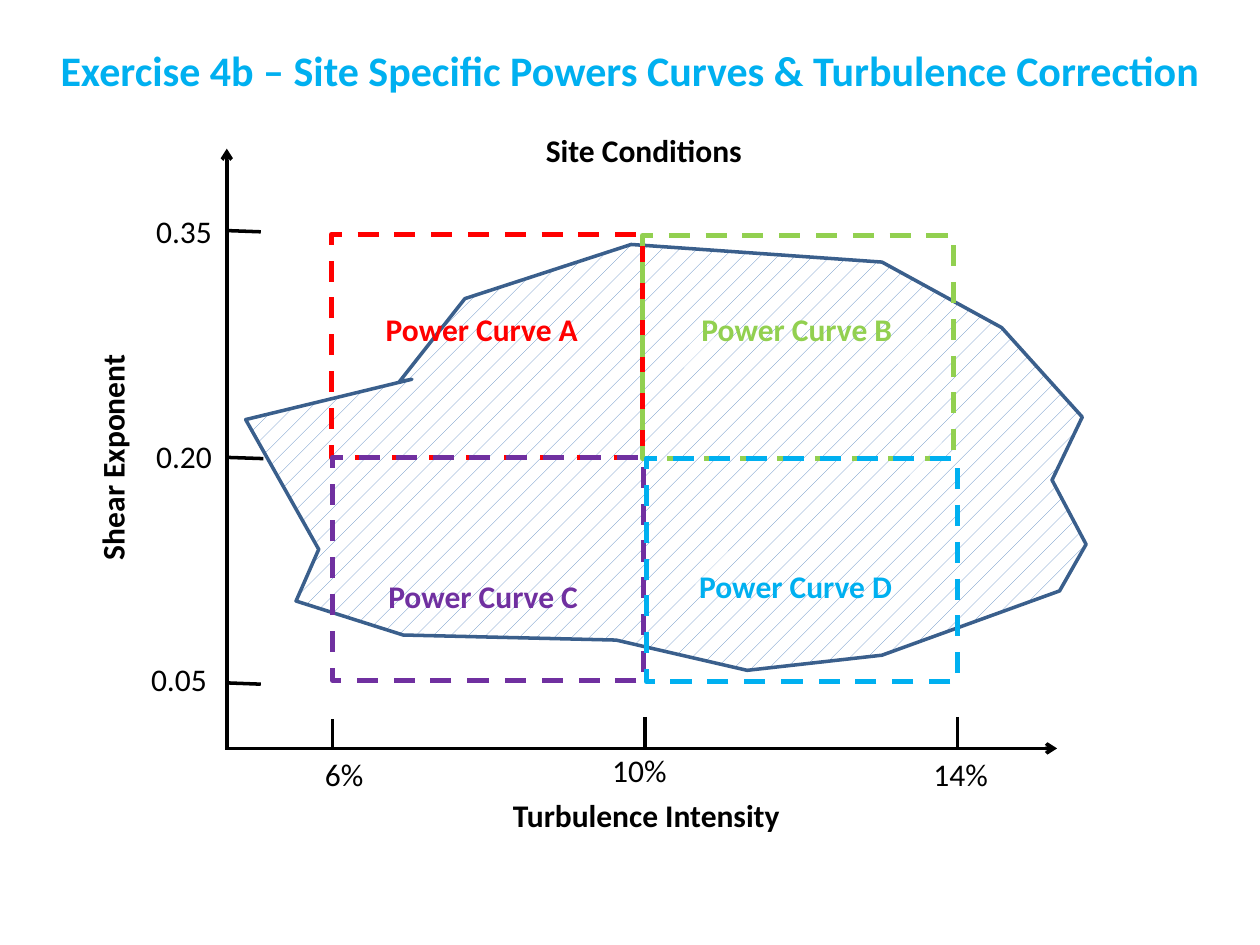
from lxml import etree
from pptx import Presentation
from pptx.dml.color import RGBColor
from pptx.enum.dml import MSO_LINE, MSO_PATTERN
from pptx.enum.shapes import MSO_CONNECTOR, MSO_SHAPE
from pptx.enum.text import MSO_ANCHOR, MSO_AUTO_SIZE, PP_ALIGN
from pptx.oxml.ns import qn
from pptx.util import Inches, Pt

DASH = MSO_LINE.DASH
DOTS = MSO_PATTERN.PERCENT_5
LINE = MSO_CONNECTOR.STRAIGHT
RECT = MSO_SHAPE.RECTANGLE
MID = MSO_ANCHOR.MIDDLE
GROW = MSO_AUTO_SIZE.SHAPE_TO_FIT_TEXT
FIXED = MSO_AUTO_SIZE.NONE
LEFT, CENTER = PP_ALIGN.LEFT, PP_ALIGN.CENTER

COLORS = {"black": "000000", "white": "FFFFFF", "red": "FF0000",
          "green": "92D050", "purple": "7030A0", "cyan": "00B0F0",
          "blue": "4F81BD", "navy": "3A5F8C"}

TITLE = "Exercise 4b – Site Specific Powers Curves & Turbulence Correction"
HEADS = [("Turbulence Intensity", 3.32, 6.27, 3.62, 0),
         ("Shear Exponent", -0.25, 3.43, 2.28, 270),
         ("Site Conditions", 3.77, 0.99, 2.68, 0)]
AXES = [(1.8, 5.95, 1.8, 1.18), (1.8, 5.94, 8.39, 5.94)]
CURVES = [("A", "red", 2.63, 1.86, 2.56, 2.41),
          ("B", "green", 5.1, 1.87, 5.06, 2.41),
          ("C", "purple", 2.64, 3.63, 2.57, 4.53),
          ("D", "cyan", 5.13, 3.64, 5.05, 4.45)]
TURBS = [("6%", 2.64, 5.71, 2.48, 5.94), ("10%", 5.12, 5.69, 4.76, 5.91),
         ("14%", 7.6, 5.69, 7.31, 5.94)]
SHEARS = [("0.35", 1.83, 2.07, 1.14, 1.63), ("0.20", 3.63, 2.09, 1.14, 3.42),
          ("0.05", 5.42, 2.07, 1.1, 5.19)]
SITE = [(3.17, 3.03), (3.69, 2.37), (5.01, 1.94), (7, 2.08), (7.95, 2.6),
        (8.59, 3.31), (8.35, 3.81), (8.62, 4.32), (8.41, 4.69), (7, 5.2),
        (5.93, 5.32), (4.89, 5.08), (3.2, 5.04), (2.35, 4.77),
        (2.53, 4.36), (1.95, 3.33), (3.27, 3.01)]


def rgb(name):
    return RGBColor.from_string(COLORS[name])


def apply(item, values):
    for key, value in values.items():
        setattr(item, key, value)


def write(shape, text, color="black", bold=True, size=18, align=CENTER):
    para = shape.text_frame.paragraphs[0]
    para.alignment = align
    run = para.add_run()
    run.text = text
    apply(run.font, {"name": "Calibri", "size": Pt(size), "bold": bold})
    run.font.color.rgb = rgb(color)


def label(text, x, y, w, turn=0, **style):
    box = slide.shapes.add_textbox(*map(Inches, (x, y, w, 0.4)))
    apply(box.text_frame, {"word_wrap": True, "auto_size": GROW})
    box.rotation = turn
    write(box, text, **style)


def stroke(shape, color, width):
    shape.line.color.rgb = rgb(color)
    shape.line.width = Pt(width)


def rule(ends, arrow=False):
    line = slide.shapes.add_connector(LINE, *map(Inches, ends))
    stroke(line, "black", 2)
    props = line._element.spPr
    etree.SubElement(props, qn("a:effectLst"))
    if arrow:
        etree.SubElement(props.find(qn("a:ln")), qn("a:tailEnd"), type="arrow")


deck = Presentation()
apply(deck, {"slide_width": Inches(10), "slide_height": Inches(7.5)})
slide = deck.slides.add_slide(deck.slide_layouts[5])

title = slide.shapes.title
apply(title, {"left": Inches(0), "top": Inches(0.29),
              "width": Inches(10), "height": Inches(0.53)})
apply(title.text_frame, {
    "vertical_anchor": MID, "word_wrap": True, "auto_size": FIXED,
    "margin_left": Inches(0.14), "margin_right": Inches(0.14),
    "margin_top": Inches(0.07), "margin_bottom": Inches(0.07)})
write(title, TITLE, "cyan", size=24)

for axis in AXES:
    rule(axis, arrow=True)
for text, x, y, w, turn in HEADS:
    label(text, x, y, w, turn)

points = [(Inches(x), Inches(y)) for x, y in SITE]
draft = slide.shapes.build_freeform(*points[0])
draft.add_line_segments(points[1:], close=True)
site = draft.convert_to_shape()
site.shadow.inherit = False
site.fill.patterned()
site.fill.pattern = DOTS
site.fill.fore_color.rgb = rgb("blue")
site.fill.back_color.rgb = rgb("white")
stroke(site, "navy", 2)

for name, color, x, y, left, top in CURVES:
    zone = slide.shapes.add_shape(RECT, *map(Inches, (x, y, 2.47, 1.77)))
    zone.shadow.inherit = False
    zone.fill.background()
    stroke(zone, color, 3)
    zone.line.dash_style = DASH
    label(f"Power Curve {name}", left, top, 2.53, color=color)

for text, x, y, left, top in TURBS:
    rule((x, y, x, 5.94))
    label(text, left, top, 0.69, bold=False, align=LEFT)
for text, y, end, left, top in SHEARS:
    rule((end, y + 0.01, 1.8, y))
    label(text, left, top, 0.68, bold=False, align=LEFT)

deck.save("out.pptx")
